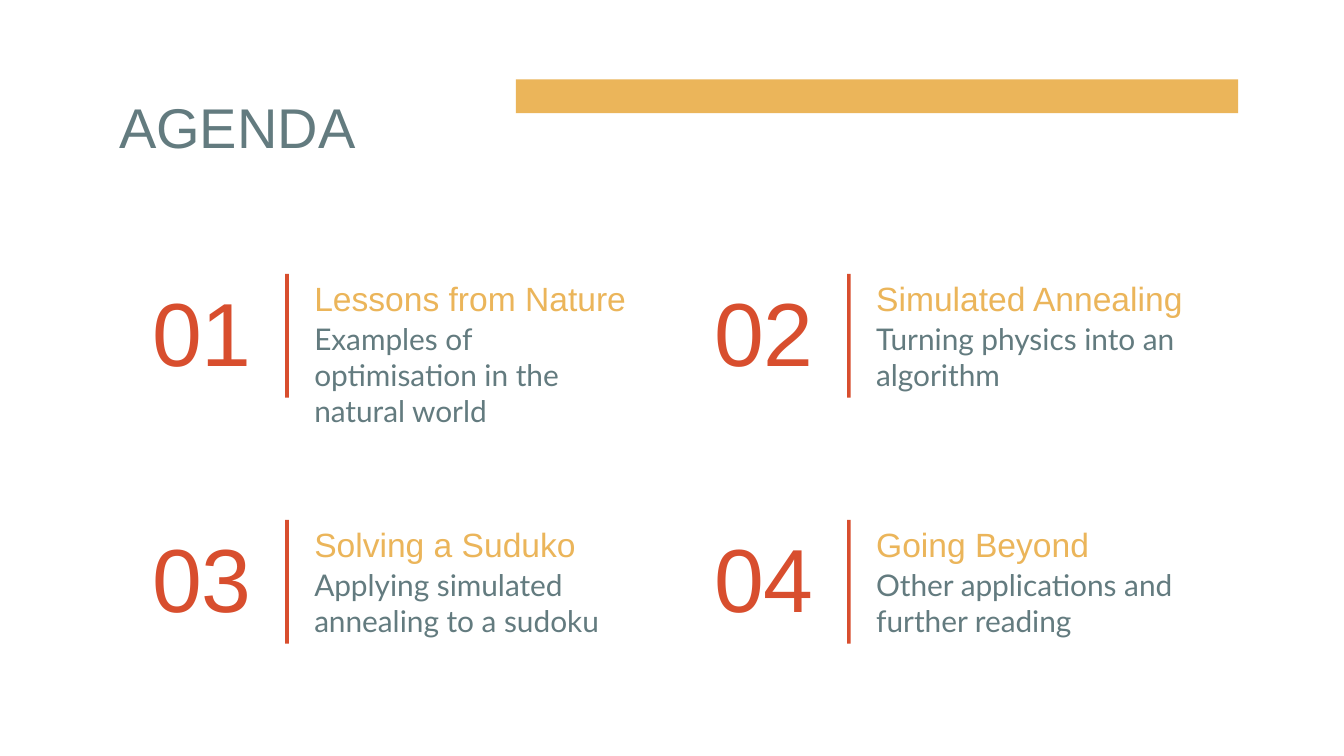
from pptx import Presentation
from pptx import util as u
from pptx.dml import color
from pptx.enum import shapes, text

GOLD, RED, SLATE = "EBB55A", "D84E2E", "637B7F"
LEFT, TOP, ACROSS, DOWN = 2.44, 5, 10.62, 4.65
ITEMS = [
    ("Lessons from Nature", "Examples of optimisation in the natural world", 6.7),
    ("Simulated Annealing", "Turning physics into an algorithm", 6.35),
    ("Solving a Suduko", "Applying simulated annealing to a sudoku", 6.35),
    ("Going Beyond", "Other applications and further reading", 6.35),
]


def paint(obj, tone):
    if hasattr(obj, "solid"):
        obj.solid()
        obj.fore_color.rgb = color.RGBColor.from_string(tone)
    else:
        obj.color.rgb = color.RGBColor.from_string(tone)


def place(shape, box):
    shape.left, shape.top, shape.width, shape.height = map(u.Cm, box)


def write(shape, words, size, font, tone, align=text.PP_ALIGN.LEFT,
          anchor=text.MSO_ANCHOR.TOP, after=0):
    frame = shape.text_frame
    frame.word_wrap = True
    frame.auto_size = text.MSO_AUTO_SIZE.NONE
    frame.vertical_anchor = anchor
    frame.margin_left = frame.margin_right = u.Cm(0.25)
    frame.margin_top = frame.margin_bottom = u.Cm(0.25)
    para = frame.paragraphs[0]
    para.alignment = align
    para.space_after = u.Pt(after)
    run = para.add_run()
    run.text = words
    run.font.size = u.Pt(size)
    run.font.name = font
    paint(run.font, tone)


def label(slide, box, *args, **opts):
    write(slide.shapes.add_textbox(*map(u.Cm, box)), *args, **opts)


def bar(slide, box, tone):
    shape = slide.shapes.add_shape(shapes.MSO_SHAPE.RECTANGLE, *map(u.Cm, box))
    shape.shadow.inherit = False
    paint(shape.fill, tone)
    shape.line.fill.background()


def header(slide, box):
    x, y, wide, high = box
    bar(slide, (x + 7.75, y, wide - 7.75, 0.64), GOLD)
    title = slide.shapes.title
    place(title, (x, y, 8.3, high))
    write(title, "AGENDA", 30, "Arial", SLATE)


def item(slide, box, num, head, body, span):
    x, y, wide, high = box
    label(slide, (x, y + 0.18, 2.57, high - 0.18), f"{num:02}", 48, "Arial", RED,
          align=text.PP_ALIGN.RIGHT, anchor=text.MSO_ANCHOR.BOTTOM)
    label(slide, (x + 3.25, y, wide - 3.25, 0.94), head, 18, "Arial", GOLD, after=16)
    label(slide, (x + 3.25, y + 0.82, span, 1.7), body, 16, "Lato", SLATE, after=16)
    bar(slide, (x + 2.95, y + 0.18, 0.07, high - 0.18), RED)


def main():
    deck = Presentation()
    deck.slide_width, deck.slide_height = u.Cm(25.4), u.Cm(14.29)
    slide = deck.slides.add_slide(deck.slide_layouts[5])
    header(slide, (2, 1.5, 21.4, 1.6))
    for i, entry in enumerate(ITEMS):
        row, col = divmod(i, 2)
        box = (LEFT + col * ACROSS, TOP + row * DOWN, 10.26, 2.52)
        item(slide, box, i + 1, *entry)
    deck.save("out.pptx")


if __name__ == "__main__":
    main()
